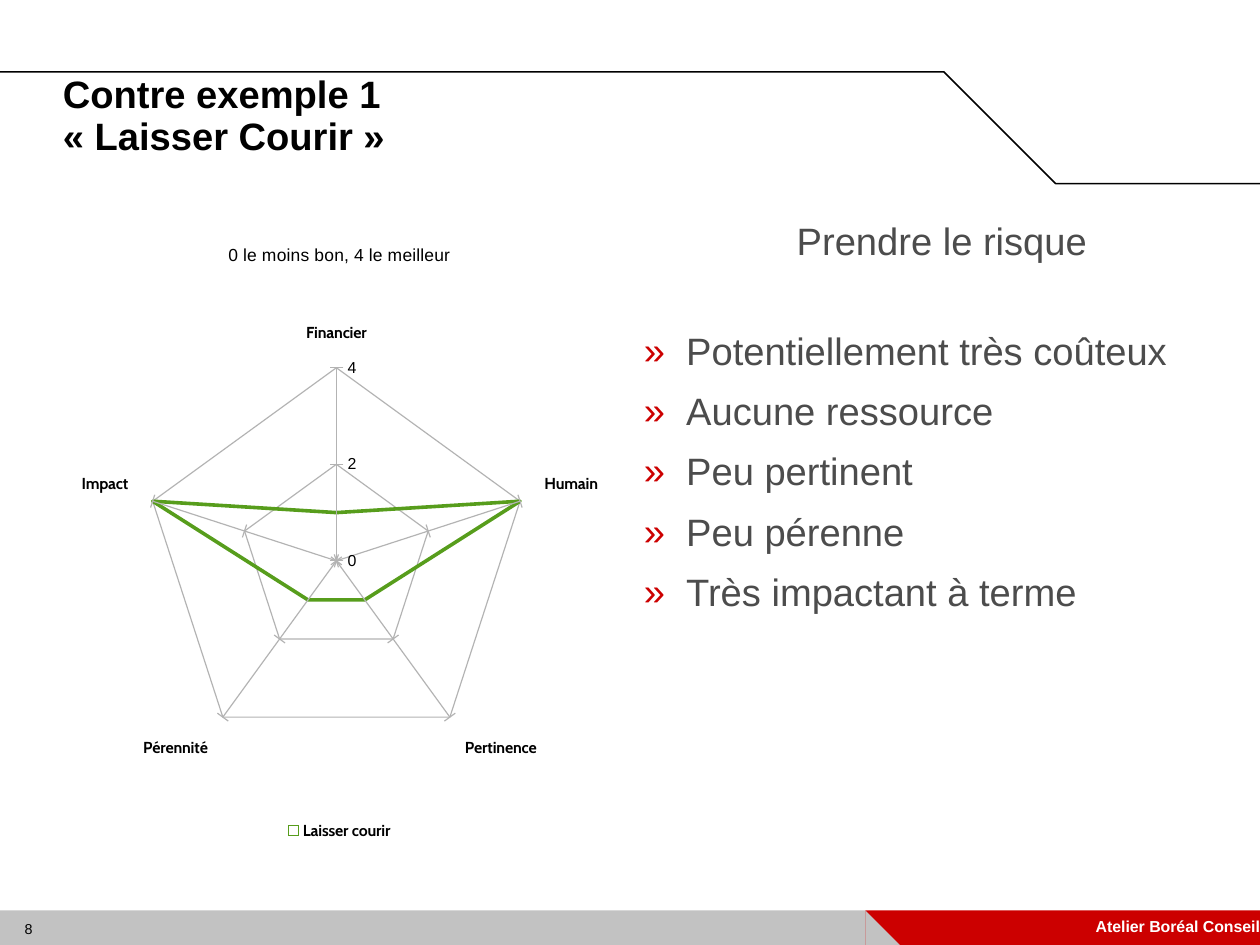
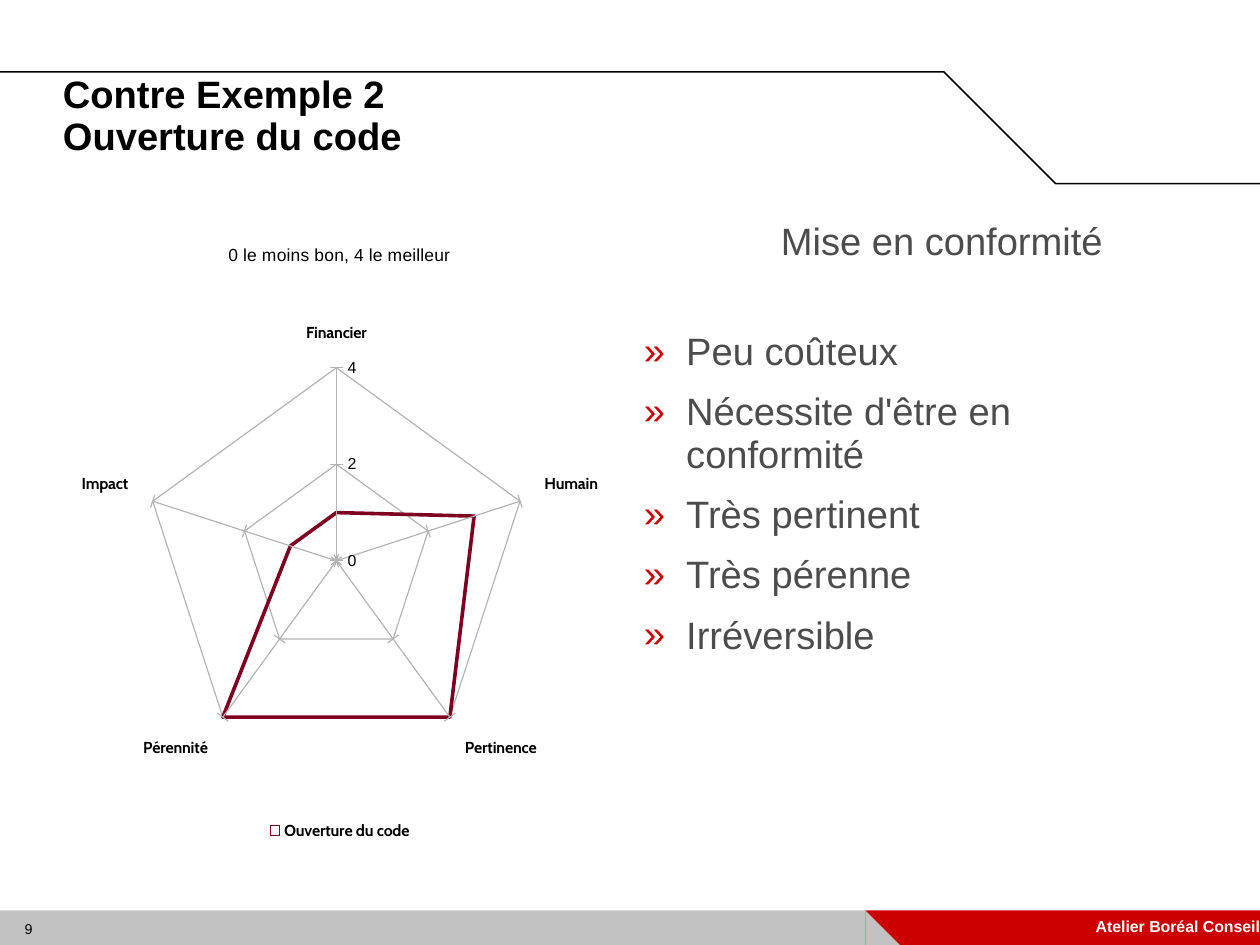
from lxml import etree
from pptx import Presentation
from pptx.chart.data import CategoryChartData
from pptx.dml.color import RGBColor
from pptx.enum.chart import XL_CHART_TYPE, XL_LEGEND_POSITION, XL_TICK_MARK
from pptx.enum.shapes import MSO_SHAPE
from pptx.enum.text import MSO_ANCHOR, PP_ALIGN
from pptx.oxml.ns import qn
from pptx.util import Cm, Pt

RADAR = XL_CHART_TYPE.RADAR_FILLED
BOTTOM = XL_LEGEND_POSITION.BOTTOM
OUTSIDE = XL_TICK_MARK.OUTSIDE
NO_TICK = XL_TICK_MARK.NONE
RECTANGLE, TRIANGLE = MSO_SHAPE.RECTANGLE, MSO_SHAPE.RIGHT_TRIANGLE
MIDDLE, TOP = MSO_ANCHOR.MIDDLE, MSO_ANCHOR.TOP
LEFT, CENTER, RIGHT = PP_ALIGN.LEFT, PP_ALIGN.CENTER, PP_ALIGN.RIGHT

COLORS = {
    "white": "FFFFFF", "black": "000000", "text": "4C4C4C", "red": "CC0000",
    "band": "C2C2C2", "grid": "B3B3B3", "green": "579D1C", "wine": "7E0021",
}
COLORS = {name: RGBColor.from_string(value) for name, value in COLORS.items()}
LINE_SPACING = 0.93
BULLET_INDENT = Cm(0.94)
FOOTER = "Atelier Boréal Conseil"
CATEGORIES = ["Financier", "Humain", "Pertinence", "Pérennité", "Impact"]

SLIDES = [
    {
        "number": "8",
        "title": ["Contre exemple 1", "« Laisser Courir »"],
        "series": "Laisser courir", "values": [1, 4, 1, 1, 4], "color": "green",
        "heading": "Prendre le risque",
        "bullets": ["Potentiellement très coûteux", "Aucune ressource", "Peu pertinent",
                    "Peu pérenne", "Très impactant à terme"],
    },
    {
        "number": "9",
        "title": ["Contre Exemple 2", "Ouverture du code"],
        "series": "Ouverture du code", "values": [1, 3, 4, 4, 1], "color": "wine",
        "heading": "Mise en conformité",
        "bullets": ["Peu coûteux", "Nécessite d'être en conformité", "Très pertinent",
                    "Très pérenne", "Irréversible"],
    },
]


def style_font(font, size, color="black", bold=False, name="Arial"):
    font.size, font.bold, font.name = Pt(size), bold, name
    font.color.rgb = COLORS[color]


def set_layout(parent, index, **fractions):
    """Place a chart part by fractions of the chart area."""
    for old in parent.findall(qn("c:layout")):
        parent.remove(old)
    layout = etree.Element(qn("c:layout"))
    manual = etree.SubElement(layout, qn("c:manualLayout"))
    if "w" in fractions:
        etree.SubElement(manual, qn("c:layoutTarget")).set("val", "inner")
    for mode in ("xMode", "yMode"):
        etree.SubElement(manual, qn("c:" + mode)).set("val", "edge")
    for key, value in fractions.items():
        etree.SubElement(manual, qn("c:" + key)).set("val", str(value))
    parent.insert(index, layout)


presentation = Presentation()
presentation.slide_width, presentation.slide_height = Cm(28), Cm(21)

for content in SLIDES:
    slide = presentation.slides.add_slide(presentation.slide_layouts[6])
    slide.background.fill.solid()
    slide.background.fill.fore_color.rgb = COLORS["white"]

    # Stepped rule around the title
    builder = slide.shapes.build_freeform(0, Cm(1.6))
    builder.add_line_segments(
        [(Cm(20.98), Cm(1.6)), (Cm(23.46), Cm(4.08)), (Cm(28), Cm(4.08))], close=False)
    rule = builder.convert_to_shape()
    rule.shadow.inherit = False
    rule.fill.background()
    rule.line.color.rgb = COLORS["black"]
    rule.line.width = Pt(1)

    # Footer bands
    for kind, left, width, color in [(RECTANGLE, 0, 19.23, "band"),
                                     (RECTANGLE, 19.23, 8.77, "red"),
                                     (TRIANGLE, 19.23, 0.77, "band")]:
        band = slide.shapes.add_shape(kind, Cm(left), Cm(20.23), Cm(width), Cm(0.77))
        band.shadow.inherit = False
        band.fill.solid()
        band.fill.fore_color.rgb = COLORS[color]
        band.line.fill.background()
        if color == "red":
            footer = band

    # Text frames
    title = slide.shapes.add_textbox(Cm(1.4), Cm(0.84), Cm(25.2), Cm(3.5))
    number = slide.shapes.add_textbox(Cm(0.55), Cm(20.48), Cm(1.45), Cm(0.36))
    body = slide.shapes.add_textbox(Cm(14.31), Cm(4.92), Cm(12.3), Cm(13.87))
    for shape, anchor in [(footer, MIDDLE), (title, MIDDLE), (number, TOP), (body, TOP)]:
        frame = shape.text_frame
        frame.margin_left = frame.margin_right = frame.margin_top = frame.margin_bottom = 0
        frame.vertical_anchor = anchor
        frame.word_wrap = True

    # Footer, slide number and title
    for shape, lines, size, color, bold, alignment in [
            (footer, [FOOTER], 10, "white", True, RIGHT),
            (number, [content["number"]], 9, "black", False, LEFT),
            (title, content["title"], 24, "black", True, LEFT)]:
        paragraph = shape.text_frame.paragraphs[0]
        paragraph.alignment = alignment
        paragraph.line_spacing = LINE_SPACING
        for index, line in enumerate(lines):
            if index:
                paragraph.add_line_break()
            run = paragraph.add_run()
            run.text = line
            style_font(run.font, size, color, bold)

    # Heading and bullets
    for index, text in enumerate([content["heading"]] + content["bullets"]):
        frame = body.text_frame
        paragraph = frame.add_paragraph() if index else frame.paragraphs[0]
        paragraph.alignment = LEFT if index else CENTER
        paragraph.line_spacing = LINE_SPACING
        paragraph.space_before = Pt(42.5 if index == 1 else 11.2)
        run = paragraph.add_run()
        run.text = text
        style_font(run.font, 24, "text")
        properties = paragraph._p.get_or_add_pPr()
        properties.set("marL", str(BULLET_INDENT))
        properties.set("indent", str(-BULLET_INDENT if index else 0))
        if index:
            bullet_color = etree.SubElement(properties, qn("a:buClr"))
            etree.SubElement(bullet_color, qn("a:srgbClr")).set("val", str(COLORS["red"]))
            etree.SubElement(properties, qn("a:buFont")).set("typeface", "Arial")
            etree.SubElement(properties, qn("a:buChar")).set("char", "»")

    # Radar chart
    data = CategoryChartData(number_format="General")
    data.categories = CATEGORIES
    data.add_series(content["series"], content["values"])
    chart = slide.shapes.add_chart(
        RADAR, Cm(1.4), Cm(4.9), Cm(12.3), Cm(13.87), data).chart
    style_font(chart.font, 10)

    chart.has_title = True
    run = chart.chart_title.text_frame.paragraphs[0].add_run()
    run.text = "0 le moins bon, 4 le meilleur"
    style_font(run.font, 11)
    set_layout(chart.chart_title._element, 1, x=0.293, y=0.03)
    set_layout(chart._chartSpace.chart.plotArea, 0, x=0.145, y=0.236, w=0.698, h=0.619)

    chart.has_legend = True
    chart.legend.position = BOTTOM
    chart.legend.include_in_layout = False
    style_font(chart.legend.font, 10, bold=True, name="Cabin")

    for axis in (chart.category_axis, chart.value_axis):
        axis.major_tick_mark = OUTSIDE
        axis.minor_tick_mark = NO_TICK
        axis.tick_labels.number_format = "General"
        axis.tick_labels.number_format_is_linked = False
        for line in (axis.format.line, axis.major_gridlines.format.line):
            line.color.rgb = COLORS["grid"]
            line.width = Pt(0)
    style_font(chart.category_axis.tick_labels.font, 10, bold=True, name="Cabin")
    style_font(chart.value_axis.tick_labels.font, 10)
    chart.value_axis.minimum_scale = 0
    chart.value_axis.maximum_scale = 4
    chart.value_axis.major_unit = 2

    plot = chart.plots[0]
    plot.vary_by_categories = False
    series = plot.series[0]
    series.format.fill.background()
    series.format.line.color.rgb = COLORS[content["color"]]
    series.format.line.width = Pt(2.27)

presentation.save("out.pptx")
